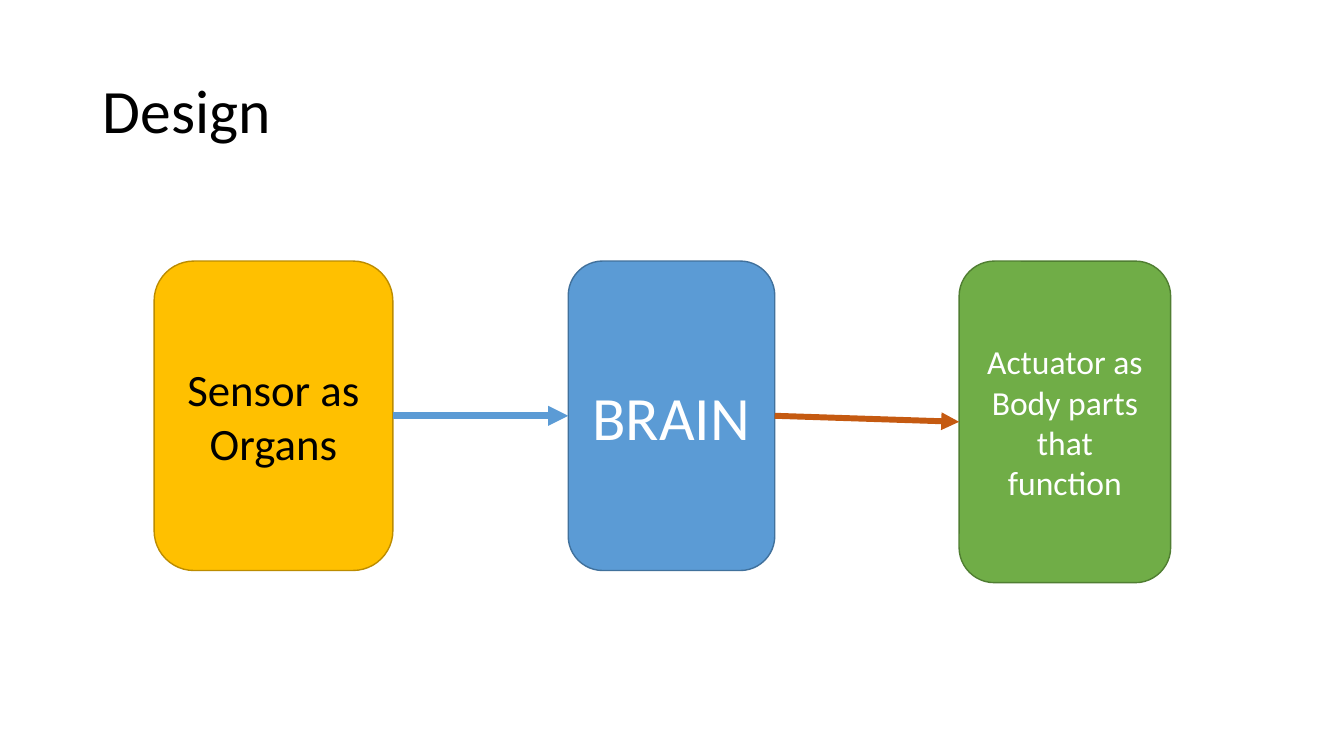
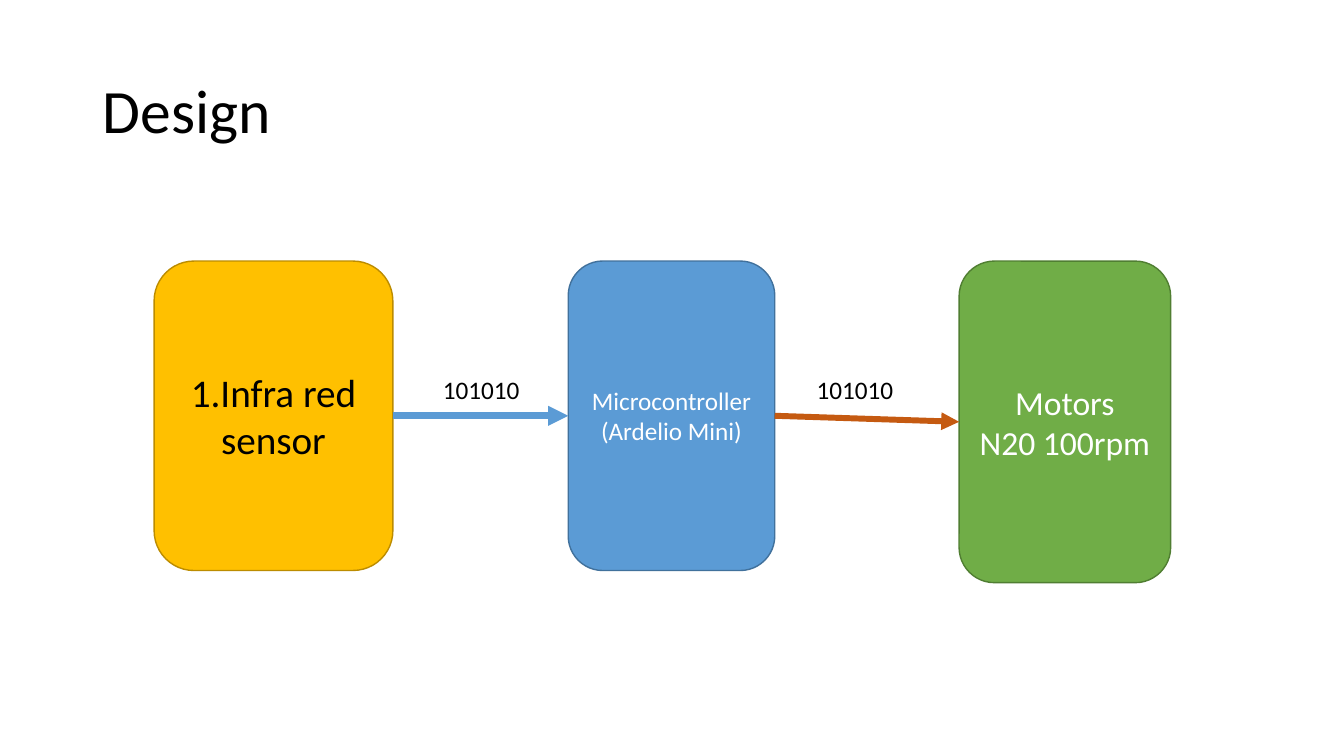
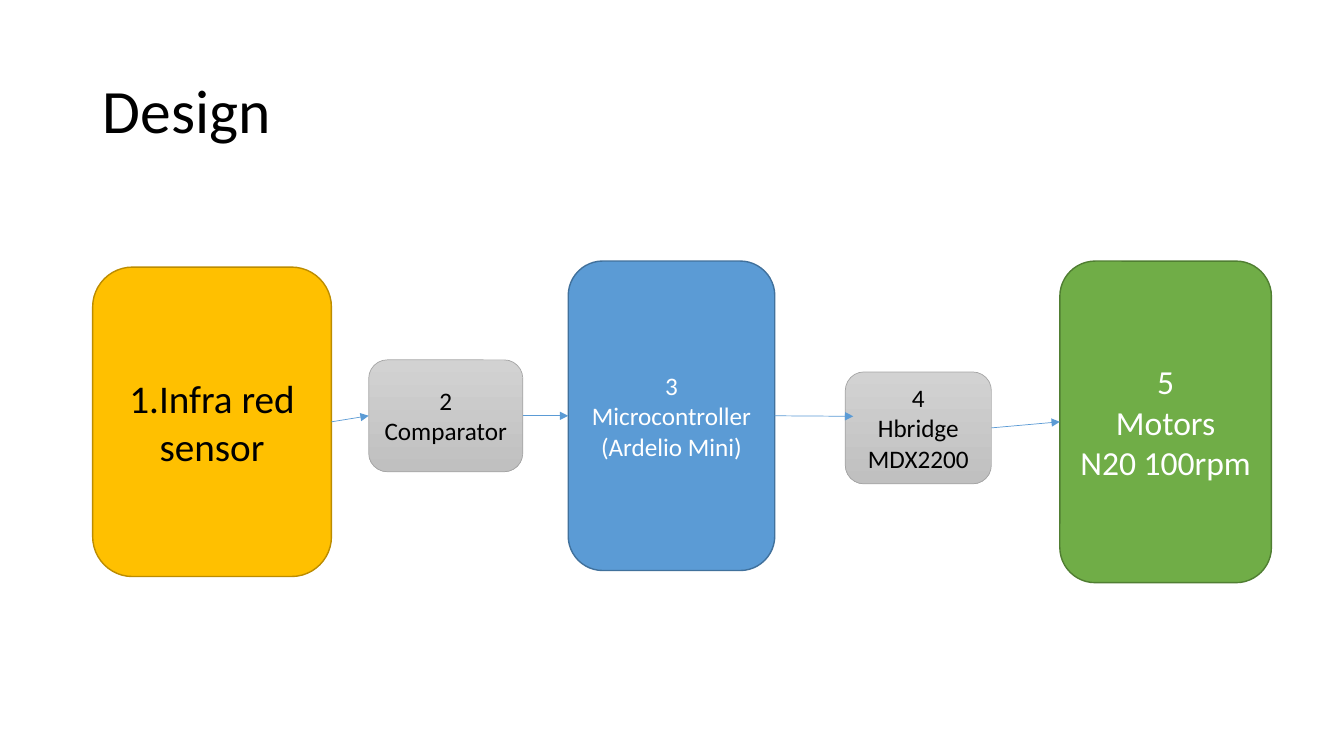
from dataclasses import dataclass, replace
from typing import Optional

from lxml import etree
from pptx import Presentation
from pptx.dml import color
from pptx.enum import shapes, text
from pptx.oxml import ns
from pptx.util import Inches, Pt

FONT = "Calibri"
COLORS = {
    "black": "000000",
    "white": "FFFFFF",
    "blue": "5B9BD5",
    "blue_edge": "41719C",
    "yellow": "FFC000",
    "yellow_edge": "BC8C00",
    "green": "70AD47",
    "green_edge": "507E32",
    "orange": "C55A11",
    "gray_top": "D2D2D2",
    "gray_bottom": "C0C0C0",
    "gray_edge": "A5A5A5",
}
CORNER = 0.167
LEFT_SITE, RIGHT_SITE = 1, 3


@dataclass(frozen=True)
class Block:
    left: float
    top: float
    width: float
    height: float
    fills: tuple[str, ...]
    edge: str
    edge_width: float
    text_color: str
    size: int = 18
    words: str = ""


@dataclass(frozen=True)
class Arrow:
    source: int
    target: int
    color: str = "blue"
    width: float = 0.5
    free_end: Optional[tuple[float, float]] = None


@dataclass(frozen=True)
class Label:
    left: float
    words: str


@dataclass(frozen=True)
class Diagram:
    blocks: list[Block]
    arrows: list[Arrow]
    labels: tuple[Label, ...] = ()


SENSOR = Block(1.53, 2.59, 2.37, 3.07, ("yellow",), "yellow_edge", 1, "black", 28,
               "1.Infra red sensor")
BRAIN = Block(5.64, 2.59, 2.05, 3.07, ("blue",), "blue_edge", 1, "white", 18,
              "Microcontroller\n(Ardelio Mini)")
ACTUATOR = Block(9.52, 2.59, 2.1, 3.19, ("green",), "green_edge", 1, "white", 24,
                 "Motors\nN20 100rpm")
COMPARATOR = Block(3.66, 3.57, 1.53, 1.11, ("gray_top", "gray_bottom"), "gray_edge", 0.5,
                   "black", words="2\nComparator")
BRIDGE = replace(COMPARATOR, left=8.39, top=3.69, width=1.45, words="4\nHbridge\nMDX2200")

THICK_ARROWS = [Arrow(0, 1, "blue", 4.75), Arrow(1, 2, "orange", 4.25)]

DIAGRAMS = [
    Diagram(
        [replace(SENSOR, size=32, words="Sensor as Organs"),
         replace(BRAIN, size=44, words="BRAIN"),
         replace(ACTUATOR, words="Actuator as Body parts that function")],
        THICK_ARROWS,
    ),
    Diagram(
        [SENSOR, BRAIN, ACTUATOR],
        THICK_ARROWS,
        (Label(3.98, "101010"), Label(7.69, "101010")),
    ),
    Diagram(
        [replace(SENSOR, left=0.92, top=2.65),
         COMPARATOR,
         replace(BRAIN, words="3\n" + BRAIN.words),
         BRIDGE,
         replace(ACTUATOR, left=10.52, words="5\n" + ACTUATOR.words)],
        [Arrow(0, 1), Arrow(1, 2), Arrow(2, 3, free_end=(8.47, 4.13)), Arrow(3, 4)],
    ),
]


def rgb(name: str) -> color.RGBColor:
    return color.RGBColor.from_string(COLORS[name])


def write(shape, words: str, size: int, text_color: str,
          alignment=text.PP_ALIGN.CENTER, line_spacing: float = 1.0) -> None:
    frame = shape.text_frame
    frame.text = words
    frame.word_wrap = True
    frame.vertical_anchor = text.MSO_ANCHOR.MIDDLE
    for paragraph in frame.paragraphs:
        paragraph.alignment = alignment
        paragraph.line_spacing = line_spacing
        for run in paragraph.runs:
            run.font.name = FONT
            run.font.size = Pt(size)
            run.font.color.rgb = rgb(text_color)


def place_title(layout) -> None:
    """Set the title area that every slide inherits."""
    title = layout.placeholders[0]
    title.left, title.top = Inches(0.92), Inches(0.4)
    title.width, title.height = Inches(11.5), Inches(1.45)


def add_block(slide, block: Block):
    shape = slide.shapes.add_shape(
        shapes.MSO_SHAPE.ROUNDED_RECTANGLE, Inches(block.left), Inches(block.top),
        Inches(block.width), Inches(block.height))
    shape.adjustments[0] = CORNER
    shape.shadow.inherit = False
    if len(block.fills) == 1:
        shape.fill.solid()
        shape.fill.fore_color.rgb = rgb(block.fills[0])
    else:
        shape.fill.gradient()
        shape.fill.gradient_angle = 270
        for stop, name in zip(shape.fill.gradient_stops, block.fills):
            stop.color.rgb = rgb(name)
    shape.line.color.rgb = rgb(block.edge)
    shape.line.width = Pt(block.edge_width)
    shape.text_frame.margin_left = shape.text_frame.margin_right = Inches(0.09)
    write(shape, block.words, block.size, block.text_color)
    return shape


def add_arrow(slide, arrow: Arrow, drawn: list) -> None:
    end_x, end_y = arrow.free_end or (0, 0)
    connector = slide.shapes.add_connector(
        shapes.MSO_CONNECTOR.STRAIGHT, 0, 0, Inches(end_x), Inches(end_y))
    connector.begin_connect(drawn[arrow.source], RIGHT_SITE)
    if arrow.free_end is None:
        connector.end_connect(drawn[arrow.target], LEFT_SITE)
    else:
        connector.end_x, connector.end_y = Inches(end_x), Inches(end_y)
    connector.line.color.rgb = rgb(arrow.color)
    connector.line.width = Pt(arrow.width)
    properties = connector._element.spPr
    etree.SubElement(properties.find(ns.qn("a:ln")), ns.qn("a:tailEnd"), type="triangle")
    etree.SubElement(properties, ns.qn("a:effectLst"))


def add_label(slide, label: Label) -> None:
    box = slide.shapes.add_textbox(
        Inches(label.left), Inches(3.69), Inches(1.59), Inches(0.34))
    write(box, label.words, 18, "black")


def add_diagram_slide(presentation, layout, diagram: Diagram) -> None:
    slide = presentation.slides.add_slide(layout)
    write(slide.shapes.title, "Design", 44, "black", text.PP_ALIGN.LEFT, 0.9)
    drawn = [add_block(slide, block) for block in diagram.blocks]
    for arrow in diagram.arrows:
        add_arrow(slide, arrow, drawn)
    for label in diagram.labels:
        add_label(slide, label)


def main() -> None:
    presentation = Presentation()
    presentation.slide_width, presentation.slide_height = Inches(13.34), Inches(7.5)
    layout = presentation.slide_layouts.get_by_name("Title Only")
    place_title(layout)
    for diagram in DIAGRAMS:
        add_diagram_slide(presentation, layout, diagram)
    presentation.save("out.pptx")


if __name__ == "__main__":
    main()
